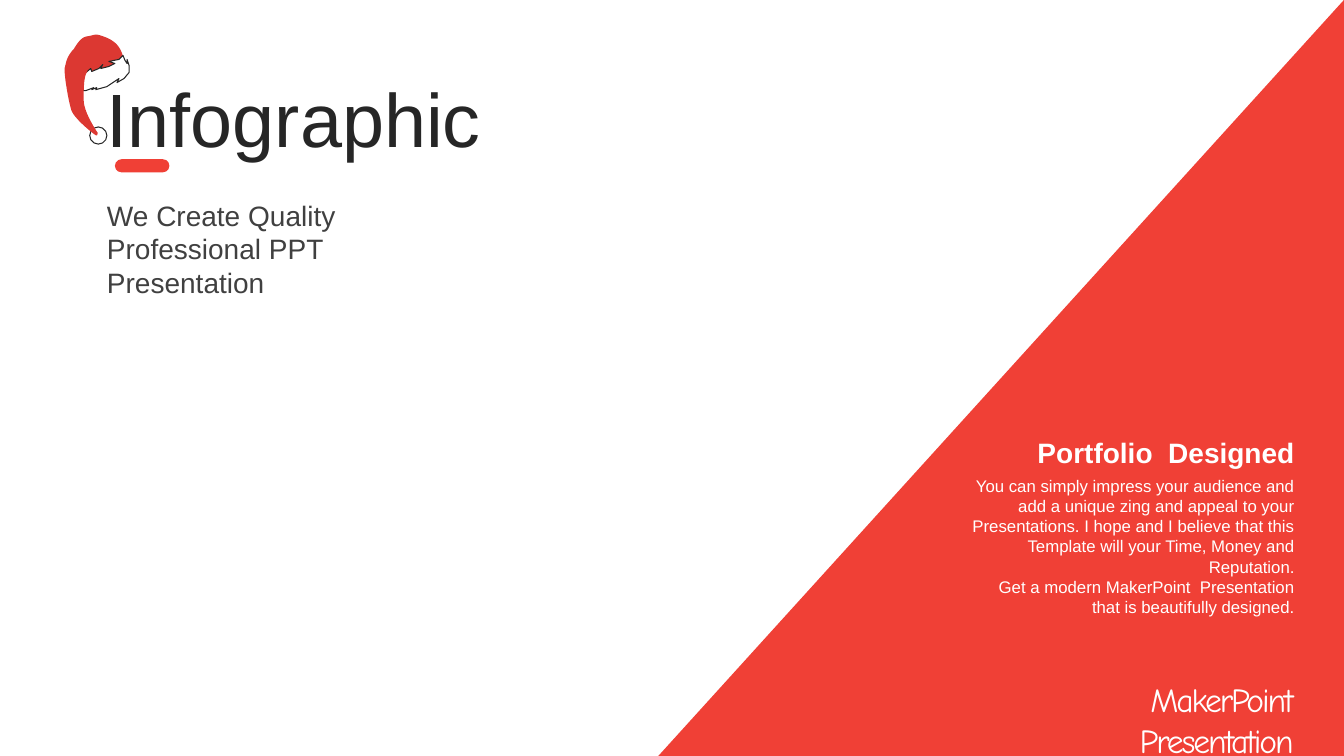
import pptx
import pptx.util
import pptx.dml.color
import pptx.enum.shapes
import pptx.enum.text
import pptx.oxml

Inches = pptx.util.Inches
Pt = pptx.util.Pt
SHAPE = pptx.enum.shapes.MSO_SHAPE
ALIGN = pptx.enum.text.PP_ALIGN
ANCHOR = pptx.enum.text.MSO_ANCHOR

RED, HAT_RED, WHITE, DARK, GREY = "F04036", "DC3832", "FFFFFF", "262626", "404040"


def rgb(value):
    return pptx.dml.color.RGBColor.from_string(value)


def trace(start, curves, steps=10):
    points = [start]
    for x1, y1, x2, y2, x3, y3 in curves:
        x0, y0 = points[-1]
        for i in range(1, steps + 1):
            t = i / steps
            u = 1 - t
            a, b, c, d = u ** 3, 3 * u * u * t, 3 * u * t * t, t ** 3
            points.append((a * x0 + b * x1 + c * x2 + d * x3,
                           a * y0 + b * y1 + c * y2 + d * y3))
    return points


class SlideBuilder:
    font = "Arial"

    def __init__(self, prs, layout):
        self.slide = prs.slides.add_slide(layout)
        self.shapes = self.slide.shapes

    def paint(self, sp, fill, line=None):
        sp.shadow.inherit = False
        sp.fill.solid()
        sp.fill.fore_color.rgb = rgb(fill)
        if line:
            sp.line.color.rgb = rgb(line)
            sp.line.width = Pt(0.75)
        else:
            sp.line.fill.background()
        return sp

    def shape(self, kind, box, fill, line=None):
        sp = self.shapes.add_shape(kind, *map(Inches, box))
        return self.paint(sp, fill, line)

    def outline(self, points, fill, line=None):
        points = [(Inches(x), Inches(y)) for x, y in points]
        builder = self.shapes.build_freeform(*points[0])
        builder.add_line_segments(points[1:], close=True)
        return self.paint(builder.convert_to_shape(), fill, line)

    def fill_text(self, sp, paragraphs, size, color, align=ALIGN.LEFT, anchor=ANCHOR.TOP,
                  bold=False, font=None, spacing=1.0, tracking=None, insets=(0.1, 0.05)):
        tf = sp.text_frame
        tf.word_wrap = True
        tf.auto_size = pptx.enum.text.MSO_AUTO_SIZE.NONE
        tf.vertical_anchor = anchor
        tf.margin_left = tf.margin_right = Inches(insets[0])
        tf.margin_top = tf.margin_bottom = Inches(insets[1])
        for i, lines in enumerate(paragraphs):
            p = tf.paragraphs[0] if i == 0 else tf.add_paragraph()
            p.alignment = align
            p.line_spacing = spacing
            p.space_before = Pt(0)
            for j, text in enumerate(lines):
                if j:
                    p.add_line_break()
                r = p.add_run()
                r.text = text
                r.font.name = font or self.font
                r.font.size = Pt(size)
                r.font.bold = bold
                r.font.color.rgb = rgb(color)
                if tracking:
                    r._r.get_or_add_rPr().set("spc", str(int(tracking * 100)))
        return sp

    def text(self, box, paragraphs, size, color, **style):
        sp = self.shapes.add_textbox(*map(Inches, box))
        return self.fill_text(sp, paragraphs, size, color, **style)

    def placeholder(self, index, box, paragraphs, size, color, **style):
        sp = self.slide.placeholders[index]
        sp.left, sp.top, sp.width, sp.height = map(Inches, box)
        return self.fill_text(sp, paragraphs, size, color, **style)

    def remove_bullets(self, sp):
        for p in sp.text_frame.paragraphs:
            pPr = p._p.get_or_add_pPr()
            pPr.set("marL", "0")
            pPr.set("indent", "0")
            pPr.append(pptx.oxml.parse_xml(
                '<a:buNone xmlns:a="http://schemas.openxmlformats.org/drawingml/2006/main"/>'))


CAP = trace((0.69, 0.73), [
    (0.68, 0.72, 0.66, 0.71, 0.65, 0.7), (0.64, 0.62, 0.68, 0.54, 0.73, 0.49),
    (0.77, 0.43, 0.8, 0.37, 0.87, 0.36), (0.94, 0.35, 0.94, 0.33, 1.02, 0.36),
    (1.11, 0.39, 1.19, 0.44, 1.22, 0.56), (1.17, 0.61, 1.11, 0.66, 1.05, 0.71),
    (0.98, 0.71, 0.89, 0.71, 0.83, 0.72), (0.78, 0.72, 0.75, 0.72, 0.69, 0.73)])
TAIL = trace((0.92, 1.32), [
    (0.92, 1.32, 0.75, 1.19, 0.71, 1.1), (0.68, 1.01, 0.64, 0.77, 0.64, 0.68),
    (0.65, 0.58, 0.87, 0.47, 0.91, 0.48), (0.96, 0.48, 0.89, 0.66, 0.86, 0.72),
    (0.83, 0.77, 0.83, 0.9, 0.83, 0.99), (0.83, 1.09, 0.91, 1.23, 0.97, 1.32),
    (0.96, 1.33, 0.98, 1.37, 0.92, 1.32)])
BRIM = [
    (1.26, 0.59), (1.26, 0.63), (1.24, 0.6), (1.22, 0.55), (1.18, 0.59), (1.08, 0.61),
    (1.14, 0.63), (1.08, 0.66), (1, 0.68), (1.02, 0.64), (0.98, 0.68), (0.91, 0.71),
    (0.9, 0.68), (0.84, 0.73), (0.87, 0.7), (0.81, 0.72), (0.75, 0.73), (0.7, 0.73),
    (0.68, 0.7), (0.67, 0.74), (0.69, 0.79), (0.67, 0.78), (0.74, 0.88), (0.72, 0.87),
    (0.74, 0.9), (0.79, 0.91), (0.78, 0.9), (0.85, 0.9), (0.93, 0.87), (0.91, 0.89),
    (0.96, 0.87), (0.95, 0.89), (1.06, 0.86), (1.18, 0.78), (1.16, 0.82), (1.23, 0.78),
    (1.28, 0.72), (1.28, 0.65)]


def main():
    prs = pptx.Presentation()
    prs.slide_width, prs.slide_height = Inches(13.33), Inches(7.5)
    s = SlideBuilder(prs, prs.slide_layouts[1])

    triangle = s.shape(SHAPE.RIGHT_TRIANGLE, (6.53, 0, 6.8, 7.5), RED)
    triangle._element.spPr.xfrm.set("flipH", "1")

    s.placeholder(0, (0.96, 0.66, 4.17, 1.01), [["Infographic"]], 54, DARK,
                  anchor=ANCHOR.MIDDLE)
    s.outline(CAP, HAT_RED)
    s.shape(SHAPE.OVAL, (0.89, 1.26, 0.17, 0.17), WHITE, DARK)
    s.outline(BRIM, WHITE, DARK)
    s.outline(TAIL, HAT_RED)
    underline = s.shape(SHAPE.ROUNDED_RECTANGLE, (1.14, 1.58, 0.54, 0.13), RED)
    underline.adjustments[0] = 0.5

    subtitle = s.placeholder(
        1, (1.02, 1.96, 2.88, 1.01),
        [["We Create Quality"], ["Professional PPT Presentation"]], 20, GREY,
        anchor=ANCHOR.MIDDLE, insets=(0.04, 0))
    s.remove_bullets(subtitle)

    s.text((9.5, 4.28, 3.44, 0.39), [["Portfolio  Designed"]], 20, WHITE,
           align=ALIGN.RIGHT, anchor=ANCHOR.MIDDLE, bold=True, spacing=1.1)
    s.text((9.5, 4.67, 3.44, 1.72), [
        ["You can simply impress your audience and add a unique zing and appeal to your "
         "Presentations. I hope and I believe that this Template will your Time, Money "
         "and Reputation."],
        ["Get a modern MakerPoint  Presentation that is beautifully designed."]],
        12, WHITE, align=ALIGN.RIGHT)
    s.text((9.73, 6.69, 3.2, 0.5), [["MakerPoint", "Presentation"]], 24, WHITE,
           align=ALIGN.RIGHT, font="Comic Neue", tracking=-1.5)

    prs.save("out.pptx")


if __name__ == "__main__":
    main()
